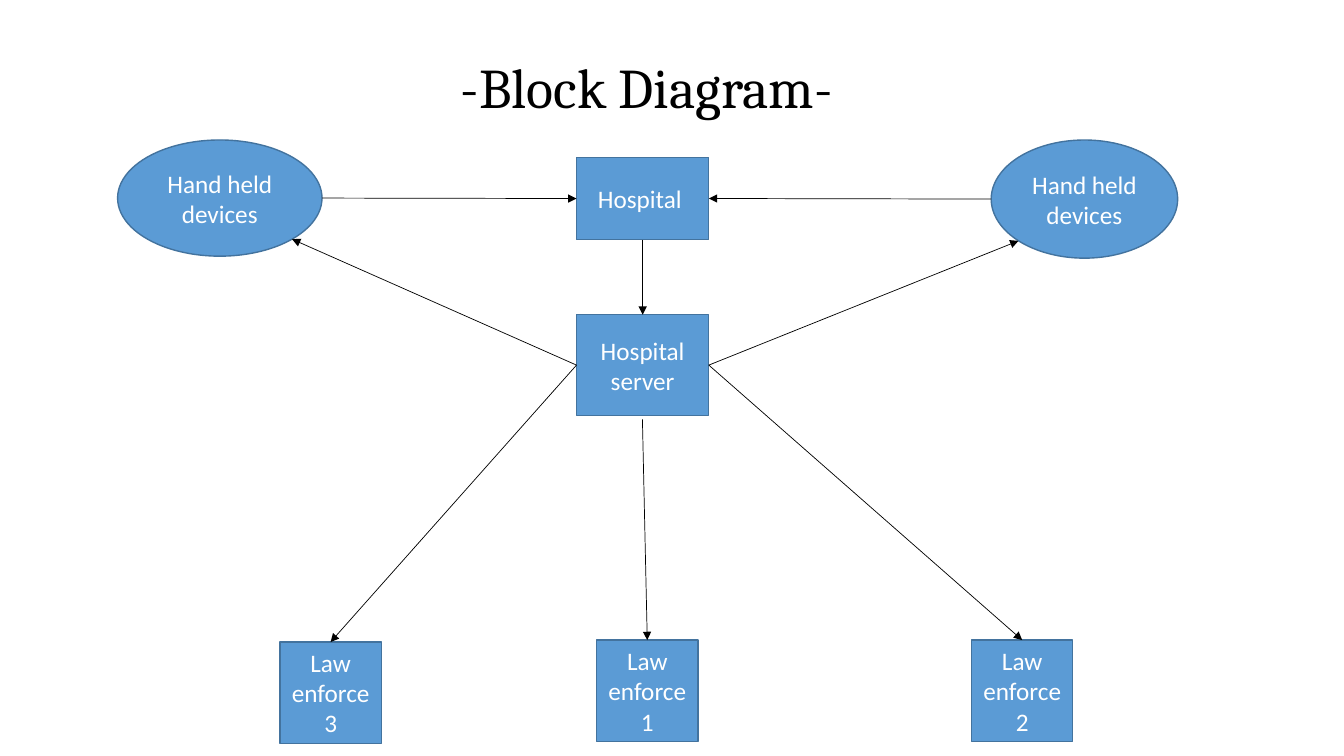
from math import sqrt

from lxml import etree
from pptx import Presentation
from pptx.dml.color import RGBColor
from pptx.enum.shapes import MSO_CONNECTOR, MSO_SHAPE
from pptx.enum.text import MSO_ANCHOR, PP_ALIGN
from pptx.oxml.ns import qn
from pptx.util import Pt

RECTANGLE = MSO_SHAPE.RECTANGLE
OVAL = MSO_SHAPE.OVAL
STRAIGHT = MSO_CONNECTOR.STRAIGHT
CENTER = PP_ALIGN.CENTER
MIDDLE = MSO_ANCHOR.MIDDLE

COLORS = {"fill": "5B9BD5", "outline": "43739E", "label": "FFFFFF", "ink": "000000"}

TITLE = "-Block Diagram-"
TITLE_BOX = (48, 12.5, 828, 104.4)

BLOCKS = {
    "hospital": ("Hospital ", RECTANGLE, (411.8, 112.3, 94.5, 59)),
    "server": ("Hospital server", RECTANGLE, (411.8, 224.8, 94.5, 72)),
    "law 3": ("Law enforce 3", RECTANGLE, (200, 458.6, 72.3, 72.3)),
    "law 1": ("Law enforce1", RECTANGLE, (426.2, 457.2, 72.3, 72.3)),
    "law 2": ("Law enforce 2", RECTANGLE, (694, 457.2, 72.3, 72.3)),
    "left device": ("Hand held devices", OVAL, (84, 100, 146, 83)),
    "right device": ("Hand held devices", OVAL, (708, 100, 133.2, 84.4)),
}

SERVER_EXIT = (458.9, 299.5)
ARROWS = [
    (("hospital", "bottom"), ("server", "top")),
    (SERVER_EXIT, ("law 1", "top")),
    (("server", "right"), ("law 2", "top")),
    (("server", "left"), ("law 3", "top")),
    (("left device", "right"), ("hospital", "left")),
    (("right device", "left"), ("hospital", "right")),
    (("server", "left"), ("left device", "lower right")),
    (("server", "right"), ("right device", "lower left")),
]

DIAGONAL = sqrt(0.5)
DIRECTIONS = {
    "top": (0, -1),
    "left": (-1, 0),
    "bottom": (0, 1),
    "right": (1, 0),
    "lower left": (-DIAGONAL, DIAGONAL),
    "lower right": (DIAGONAL, DIAGONAL),
}
SIDES = ["top", "left", "bottom", "right"]


def color(name):
    return RGBColor.from_string(COLORS[name])


def format_text(shape, text, font_name, size, color_name):
    text_frame = shape.text_frame
    text_frame.text = text
    text_frame.word_wrap = True
    text_frame.vertical_anchor = MIDDLE
    paragraph = text_frame.paragraphs[0]
    paragraph.alignment = CENTER
    font = paragraph.runs[0].font
    font.name = font_name
    font.size = Pt(size)
    font.color.rgb = color(color_name)
    return paragraph


def add_block(slide, text, kind, box):
    shape = slide.shapes.add_shape(kind, *map(Pt, box))
    shape.shadow.inherit = False
    shape.fill.solid()
    shape.fill.fore_color.rgb = color("fill")
    shape.line.color.rgb = color("outline")
    shape.line.width = Pt(1)
    format_text(shape, text, "Calibri", 18, "label")
    return shape


def locate(end):
    if end == SERVER_EXIT:
        return end
    name, direction = end
    left, top, width, height = BLOCKS[name][2]
    across, down = DIRECTIONS[direction]
    return left + width * (1 + across) / 2, top + height * (1 + down) / 2


def is_rectangle_side(end):
    return end != SERVER_EXIT and BLOCKS[end[0]][1] == RECTANGLE


def add_arrow(slide, shapes, start, finish):
    points = [Pt(value) for value in locate(start) + locate(finish)]
    connector = slide.shapes.add_connector(STRAIGHT, *points)
    if is_rectangle_side(start):
        connector.begin_connect(shapes[start[0]], SIDES.index(start[1]))
    if is_rectangle_side(finish):
        connector.end_connect(shapes[finish[0]], SIDES.index(finish[1]))
    connector.line.color.rgb = color("ink")
    connector.line.width = Pt(0.5)
    properties = connector.element.spPr
    etree.SubElement(properties.find(qn("a:ln")), qn("a:tailEnd"), type="triangle")
    etree.SubElement(properties, qn("a:effectLst"))


def main():
    presentation = Presentation()
    presentation.slide_width = Pt(960)
    presentation.slide_height = Pt(540)
    slide = presentation.slides.add_slide(presentation.slide_layouts[5])

    title = slide.shapes.title
    title.left, title.top, title.width, title.height = map(Pt, TITLE_BOX)
    paragraph = format_text(title, TITLE, "Cambria", 40, "ink")
    paragraph.line_spacing = 0.9

    shapes = {name: add_block(slide, *block) for name, block in BLOCKS.items()}
    for start, finish in ARROWS:
        add_arrow(slide, shapes, start, finish)

    presentation.save("out.pptx")


if __name__ == "__main__":
    main()
